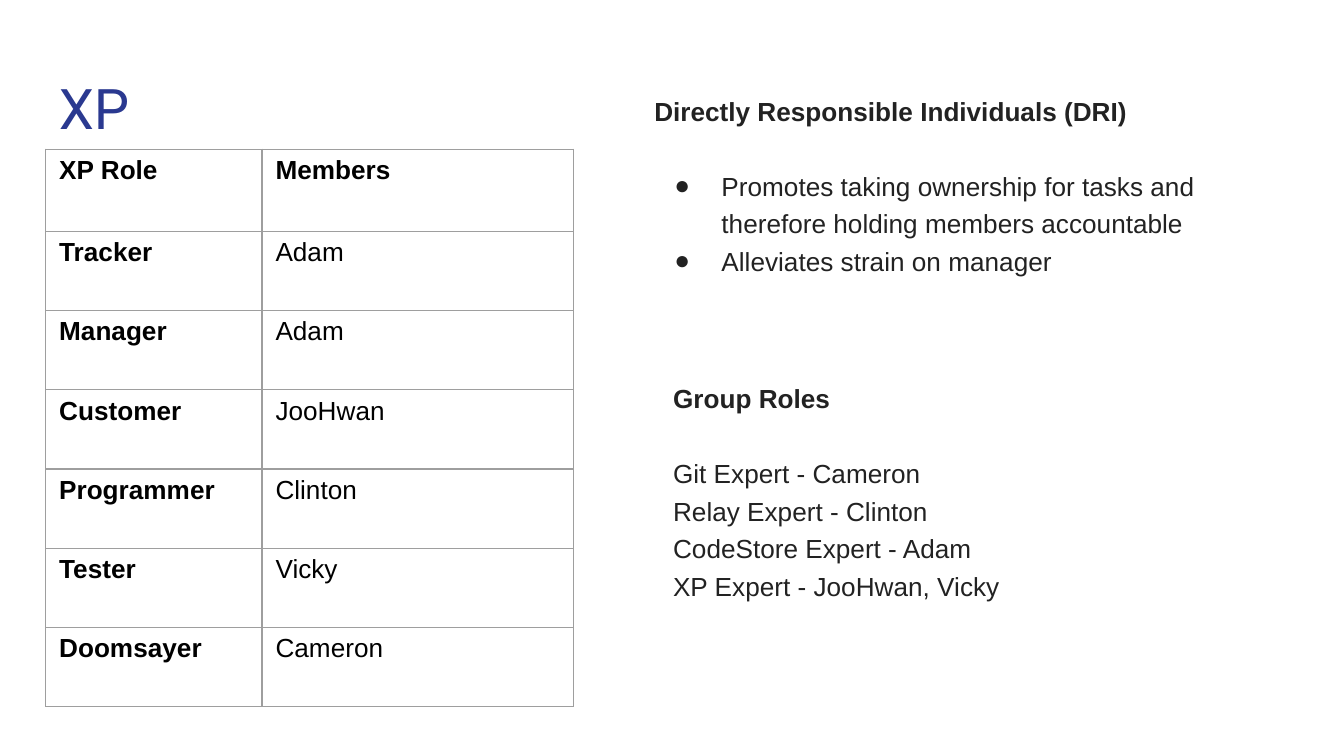
from lxml import etree
from pptx import Presentation
from pptx.dml.color import RGBColor
from pptx.oxml.ns import qn
from pptx.util import Inches, Pt

# Content
TITLE = "XP"
ROLES = [
    ("XP Role", "Members"),
    ("Tracker", "Adam"),
    ("Manager", "Adam"),
    ("Customer", "JooHwan"),
    ("Programmer", "Clinton"),
    ("Tester", "Vicky"),
    ("Doomsayer", "Cameron"),
]
DRI_HEADING = "Directly Responsible Individuals (DRI)"
DRI_POINTS = [
    "Promotes taking ownership for tasks and therefore holding members accountable",
    "Alleviates strain on manager",
]
GROUP_HEADING = "Group Roles"
GROUP_ROLES = [
    "Git Expert - Cameron",
    "Relay Expert - Clinton",
    "CodeStore Expert - Adam",
    "XP Expert - JooHwan, Vicky",
]

# Style and layout
BLUE, DARK, BLACK, GREY = "2A3990", "222222", "000000", "9E9E9E"
BODY_FONT, BODY_SIZE = "Arial", 14
COLUMN_WIDTHS = (1.61, 2.32)
HEADER_HEIGHT, ROW_HEIGHT = 0.61, 0.59
BORDER_TAGS = ("a:lnL", "a:lnR", "a:lnT", "a:lnB")


def rgb(value):
    return RGBColor.from_string(value)


def add_run(paragraph, text, color, bold=False, size=BODY_SIZE, font=BODY_FONT):
    run = paragraph.add_run()
    run.text = text
    run.font.name = font
    run.font.size = Pt(size)
    run.font.bold = bold
    run.font.color.rgb = rgb(color)


def add_text_frame(slide, left, top, width, height):
    frame = slide.shapes.add_textbox(
        Inches(left), Inches(top), Inches(width), Inches(height)).text_frame
    frame.word_wrap = True
    frame.margin_left = frame.margin_right = Inches(0.1)
    frame.margin_top = frame.margin_bottom = Inches(0.1)
    return frame


def add_heading(frame, text):
    paragraph = frame.paragraphs[0]
    paragraph.line_spacing = 1.2
    add_run(paragraph, text, DARK, bold=True)


def add_body_paragraph(frame, space_before):
    paragraph = frame.add_paragraph()
    paragraph.line_spacing = 1.2
    paragraph.space_before = Pt(space_before)
    return paragraph


def add_bullet(paragraph):
    properties = paragraph._p.get_or_add_pPr()
    properties.set("marL", str(Inches(0.5)))
    properties.set("indent", str(Inches(-0.35)))
    color = etree.SubElement(properties, qn("a:buClr"))
    etree.SubElement(color, qn("a:srgbClr"), val=DARK)
    etree.SubElement(properties, qn("a:buSzPts"), val=str(BODY_SIZE * 100))
    etree.SubElement(properties, qn("a:buFont"), typeface=BODY_FONT)
    etree.SubElement(properties, qn("a:buChar"), char="●")


def style_cell(cell):
    cell.margin_left = cell.margin_right = Inches(0.1)
    cell.margin_top = cell.margin_bottom = Inches(0.05)
    properties = cell._tc.get_or_add_tcPr()
    for tag in BORDER_TAGS:
        line = etree.SubElement(properties, qn(tag), w=str(Pt(0.75)))
        fill = etree.SubElement(line, qn("a:solidFill"))
        etree.SubElement(fill, qn("a:srgbClr"), val=GREY)
    cell.fill.background()


# A 16:9 slide
presentation = Presentation()
presentation.slide_width = Inches(10)
presentation.slide_height = Inches(10 * 9 / 16)
slide = presentation.slides.add_slide(presentation.slide_layouts[6])

# Directly responsible individuals
frame = add_text_frame(slide, 4.77, 0.56, 4.37, 2.29)
add_heading(frame, DRI_HEADING)
for index, point in enumerate(DRI_POINTS):
    paragraph = add_body_paragraph(frame, 20 if index == 0 else 0)
    add_bullet(paragraph)
    add_run(paragraph, point, DARK)

# Role table
row_heights = [HEADER_HEIGHT] + [ROW_HEIGHT] * (len(ROLES) - 1)
table = slide.shapes.add_table(
    len(ROLES), len(COLUMN_WIDTHS), Inches(0.34), Inches(1.11),
    Inches(sum(COLUMN_WIDTHS)), Inches(sum(row_heights))).table
for column, width in zip(table.columns, COLUMN_WIDTHS):
    column.width = Inches(width)
for row_index, values in enumerate(ROLES):
    table.rows[row_index].height = Inches(row_heights[row_index])
    for column_index, value in enumerate(values):
        cell = table.cell(row_index, column_index)
        style_cell(cell)
        add_run(cell.text_frame.paragraphs[0], value, BLACK,
                bold=row_index == 0 or column_index == 0)

# Group roles, one per line
frame = add_text_frame(slide, 4.91, 2.7, 4.37, 2.21)
add_heading(frame, GROUP_HEADING)
paragraph = add_body_paragraph(frame, 20)
for index, role in enumerate(GROUP_ROLES):
    if index:
        paragraph.add_line_break()
    add_run(paragraph, role, DARK)

# Title
frame = add_text_frame(slide, 0.34, 0.45, 9.32, 0.66)
add_run(frame.paragraphs[0], TITLE, BLUE, size=30, font="Roboto")

presentation.save("out.pptx")
